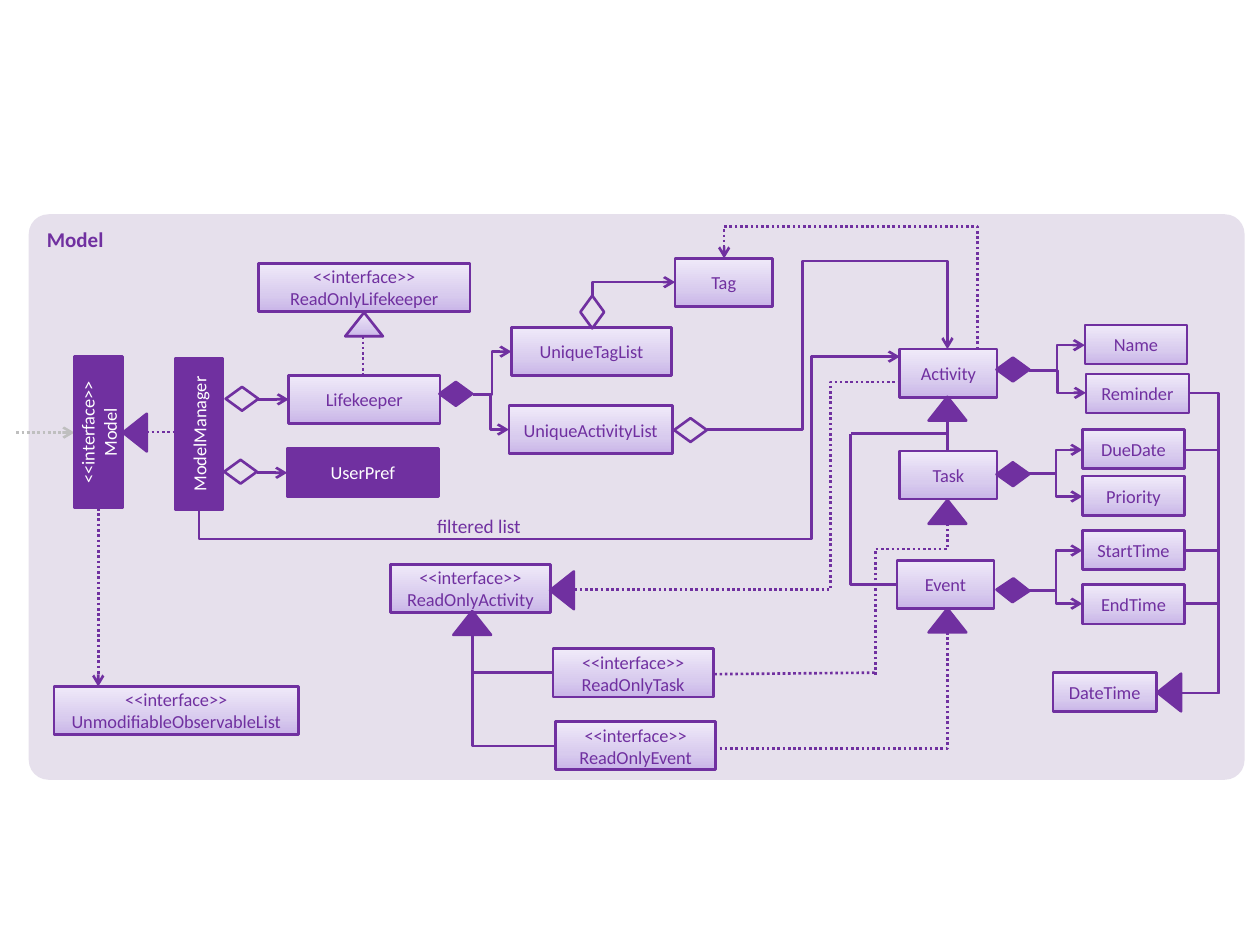
from copy import deepcopy

from pptx import Presentation
from pptx.dml.color import RGBColor
from pptx.enum.dml import MSO_LINE
from pptx.enum.shapes import MSO_CONNECTOR, MSO_SHAPE
from pptx.enum.text import MSO_ANCHOR, PP_ALIGN
from pptx.oxml.ns import qn
from pptx.oxml.xmlchemy import OxmlElement
from pptx.util import Cm, Pt

COLORS = {
    "purple": "7030A0", "panel": "E6E0EC", "white": "FFFFFF", "gray": "BFBFBF",
    "deep": "C9B5E8", "middle": "D8CBEE", "pale": "F0EAF9",
}
FONT = "Calibri"
TALL, SHORT = 0.97, 0.79
INTERFACE = "<<interface>>\n"

CLASSES = [
    ("Lifekeeper", 5.82, 7.57, 3.05, TALL),
    ("UniqueActivityList", 10.26, 8.18, 3.3, TALL),
    ("UniqueTagList", 10.31, 6.6, 3.23, TALL),
    ("Activity", 18.14, 7.04, 1.96, TALL),
    ("Tag", 13.61, 5.21, 1.96, TALL),
    ("Task", 18.14, 9.09, 1.96, TALL),
    ("Event", 18.08, 11.3, 1.96, TALL),
    (INTERFACE + "ReadOnlyLifekeeper", 5.21, 5.31, 4.27, TALL),
    (INTERFACE + "ReadOnlyActivity", 7.87, 11.38, 3.23, TALL),
    (INTERFACE + "ReadOnlyTask", 11.15, 13.08, 3.23, TALL),
    (INTERFACE + "ReadOnlyEvent", 11.2, 14.55, 3.23, TALL),
    (INTERFACE + "UnmodifiableObservableList", 1.09, 13.84, 4.93, TALL),
    ("Name", 21.87, 6.55, 2.06, SHORT),
    ("Reminder", 21.89, 7.54, 2.08, SHORT),
    ("DueDate", 21.82, 8.66, 2.06, SHORT),
    ("Priority", 21.82, 9.6, 2.06, SHORT),
    ("StartTime", 21.82, 10.69, 2.06, SHORT),
    ("EndTime", 21.82, 11.79, 2.06, SHORT),
    ("DateTime", 21.23, 13.56, 2.08, SHORT),
]
MANAGERS = [
    (["UserPref"], 5.79, 9.04, 0),
    (["ModelManager"], 2.49, 8.26, 270),
    (["<<interface>>", "Model"], 0.46, 8.23, 270),
]
DIAMONDS = [
    (4.52, 9.27, None, 0), (4.55, 7.8, None, 0), (13.59, 8.43, None, 0),
    (11.61, 6.05, None, 270), (8.86, 7.7, "purple", 0), (20.09, 7.21, "purple", 0),
    (20.09, 9.32, "purple", 359.3), (20.09, 11.66, "purple", 2.3),
]
TRIANGLES = [
    (2.34, 8.48, "purple", 270), (10.95, 11.66, "purple", 270),
    (23.19, 13.72, "purple", 270), (6.96, 6.3, "gradient", 0),
    (18.72, 8, "purple", 0), (9.14, 12.32, "purple", 0),
    (18.72, 12.27, "purple", 0), (18.72, 10.08, "purple", 0),
]
FORKS = [
    ((9.53, 7.95), [(10.26, 8.66), (10.31, 7.09)]),
    ((20.75, 7.47), [(21.87, 6.96), (21.89, 7.92)]),
    ((20.75, 9.55), [(21.82, 9.07), (21.82, 10.01)]),
    ((20.75, 11.91), [(21.82, 11.1), (21.82, 12.17)]),
]
ARROWS = [
    [(5.18, 9.53), (5.79, 9.53)],
    [(5.18, 8.05), (5.82, 8.05)],
    [(4.01, 10.26), (4.01, 10.87), (16.36, 10.87), (16.36, 7.19), (18.14, 7.19)],
    [(14.25, 8.66), (16.18, 8.66), (16.18, 5.26), (19.1, 5.26), (19.1, 7.04)],
    [(11.94, 5.97), (11.94, 5.69), (13.61, 5.69)],
]
DOTTED_ARROWS = [
    [(1.98, 10.24), (1.98, 13.84)],
    [(19.71, 7.04), (19.71, 4.57), (14.6, 4.57), (14.6, 5.21)],
]
PLAIN_LINES = [
    [(17.15, 8.74), (17.15, 11.79), (18.08, 11.79)],
    [(19.1, 8.48), (19.1, 9.09)],
    [(19.1, 8.74), (17.15, 8.74)],
    [(9.53, 12.8), (9.53, 15.04), (11.2, 15.04)],
    [(9.53, 12.8), (9.53, 13.56), (11.15, 13.56)],
]
DOTTED_LINES = [
    [(2.95, 8.71), (3.56, 8.71)],
    [(7.32, 6.78), (7.32, 7.59)],
    [(11.58, 11.89), (16.74, 11.89), (16.74, 7.7), (18.14, 7.7)],
    [(14.4, 15.09), (19.1, 15.09), (19.1, 12.75)],
    [(14.4, 13.59), (17.63, 13.56)],
    [(17.65, 13.61), (17.65, 11.07), (19.1, 11.07), (19.1, 10.59)],
]
DATE_STARTS = [(23.9, 12.17), (23.9, 11.1), (23.9, 9.07), (23.95, 7.92)]


def color(name):
    """Return the named colour."""
    return RGBColor.from_string(COLORS[name])


def write(box, paragraphs, size=10.5, ink="purple", bold=False,
          align=PP_ALIGN.CENTER, anchor=MSO_ANCHOR.MIDDLE):
    """Fill a box with formatted paragraphs."""
    frame = box.text_frame
    frame.word_wrap = True
    frame.vertical_anchor = anchor
    for index, text in enumerate(paragraphs):
        para = frame.add_paragraph() if index else frame.paragraphs[0]
        para.text = text.replace("\n", "\v")
        para.alignment = align
        for span in para.runs:
            span.font.name, span.font.size, span.font.bold = FONT, Pt(size), bold
            span.font.color.rgb = color(ink)


def paint(shape, fill):
    """Give a shape no fill, a solid fill or the lilac gradient."""
    if fill is None:
        shape.fill.background()
    elif fill == "gradient":
        shape.fill.gradient()
        shape.fill.gradient_angle = 90
        first = shape._element.spPr.find(".//" + qn("a:gs"))
        first.addnext(deepcopy(first))
        tones = [("deep", 0), ("middle", 0.35), ("pale", 1)]
        for stop, (tone, position) in zip(shape.fill.gradient_stops, tones):
            stop.color.rgb = color(tone)
            stop.position = position
    else:
        shape.fill.solid()
        shape.fill.fore_color.rgb = color(fill)


def add_block(page, kind, left, top, width, height, fill, rotation=0, outline=True):
    """Add one preset shape and return it."""
    shape = page.shapes.add_shape(kind, Cm(left), Cm(top), Cm(width), Cm(height))
    shape.shadow.inherit = False
    shape.rotation = rotation
    paint(shape, fill)
    if outline:
        shape.line.color.rgb = color("purple")
        shape.line.width = Pt(1.5)
    else:
        shape.line.fill.background()
    return shape


def add_class(page, paragraphs, left, top, width, height, fill, ink, rotation=0):
    """Add a labelled class box."""
    box = add_block(page, MSO_SHAPE.RECTANGLE, left, top, width, height, fill, rotation)
    box.text_frame.margin_left = box.text_frame.margin_right = 0
    write(box, paragraphs, ink=ink)


def bend(link, points):
    """Turn a connector into an elbow that follows right-angled points."""
    (x1, y1), (x2, y2) = points[0], points[-1]
    upright = points[1][0] == x1
    wide, high = abs(x2 - x1), abs(y2 - y1)
    flips = {"flipH": x2 < x1, "flipV": y2 < y1}
    if upright:
        flips = {"flipH": y2 < y1, "flipV": x2 > x1}
        link.left, link.top = Cm((x1 + x2 - high) / 2), Cm((y1 + y2 - wide) / 2)
        link.width, link.height = Cm(high), Cm(wide)
    frame = link._element.spPr.find(qn("a:xfrm"))
    frame.set("rot", "5400000" if upright else "0")
    for name, flipped in flips.items():
        frame.set(name, "1" if flipped else "0")
    shares = [(x - x1) / (x2 - x1) if (index % 2 == 0) != upright
              else (y - y1) / (y2 - y1)
              for index, (x, y) in enumerate(points[1:-2])]
    geometry = link._element.spPr.find(qn("a:prstGeom"))
    geometry.set("prst", f"bentConnector{len(points) - 1}")
    guides = geometry.get_or_add_avLst()
    for number, share in enumerate(shares, 1):
        guide = OxmlElement("a:gd")
        guide.set("name", f"adj{number}")
        guide.set("fmla", f"val {round(share * 100000)}")
        guides.append(guide)


def add_link(page, points, arrow=False, dotted=False, ink="purple"):
    """Connect points with a straight or elbow connector."""
    kind = MSO_CONNECTOR.STRAIGHT if len(points) == 2 else MSO_CONNECTOR.ELBOW
    ends = [Cm(value) for point in (points[0], points[-1]) for value in point]
    link = page.shapes.add_connector(kind, *ends)
    if len(points) > 2:
        bend(link, points)
    link.line.color.rgb = color(ink)
    link.line.width = Pt(1.5)
    if dotted:
        link.line.dash_style = MSO_LINE.ROUND_DOT
    if arrow:
        tip = OxmlElement("a:tailEnd")
        tip.set("type", "arrow")
        link._element.spPr.find(qn("a:ln")).append(tip)
    link._element.spPr.append(OxmlElement("a:effectLst"))


def add_links(page):
    """Add every relation between the classes."""
    groups = [(ARROWS, True, False), (DOTTED_ARROWS, True, True),
              (PLAIN_LINES, False, False), (DOTTED_LINES, False, True)]
    for routes, arrow, dotted in groups:
        for points in routes:
            add_link(page, points, arrow, dotted)
    add_link(page, [(0.33, 8.72), (1.5, 8.72)], True, True, "gray")
    for start, targets in FORKS:
        for end in targets:
            middle = (start[0] + end[0]) / 2
            add_link(page, [start, (middle, start[1]), (middle, end[1]), end], True)
    for start in DATE_STARTS:
        add_link(page, [start, (24.57, start[1]), (24.57, 13.97), (23.8, 13.97)])


def main():
    """Build the model class diagram."""
    deck = Presentation()
    deck.slide_width, deck.slide_height = Cm(25.4), Cm(19.05)
    page = deck.slides.add_slide(deck.slide_layouts[6])
    panel = add_block(page, MSO_SHAPE.ROUNDED_RECTANGLE, 0.58, 4.32, 24.51, 11.4,
                      "panel", outline=False)
    panel.adjustments[0] = 0.035
    write(panel, ["Model"], size=12, bold=True, align=PP_ALIGN.LEFT, anchor=MSO_ANCHOR.TOP)
    add_links(page)
    for text, *place in CLASSES:
        add_class(page, [text], *place, "gradient", "purple")
    for paragraphs, left, top, rotation in MANAGERS:
        add_class(page, paragraphs, left, top, 3.05, TALL, "purple", "white", rotation)
    for left, top, fill, rotation in DIAMONDS:
        add_block(page, MSO_SHAPE.FLOWCHART_DECISION, left, top, 0.66, 0.48, fill, rotation)
    for left, top, fill, rotation in TRIANGLES:
        add_block(page, MSO_SHAPE.ISOSCELES_TRIANGLE, left, top, 0.76, 0.48, fill, rotation)
    label = page.shapes.add_textbox(Cm(8.31), Cm(10.24), Cm(2.44), Cm(0.74))
    write(label, ["filtered list"], size=11, align=PP_ALIGN.RIGHT, anchor=MSO_ANCHOR.TOP)
    deck.save("out.pptx")


if __name__ == "__main__":
    main()
